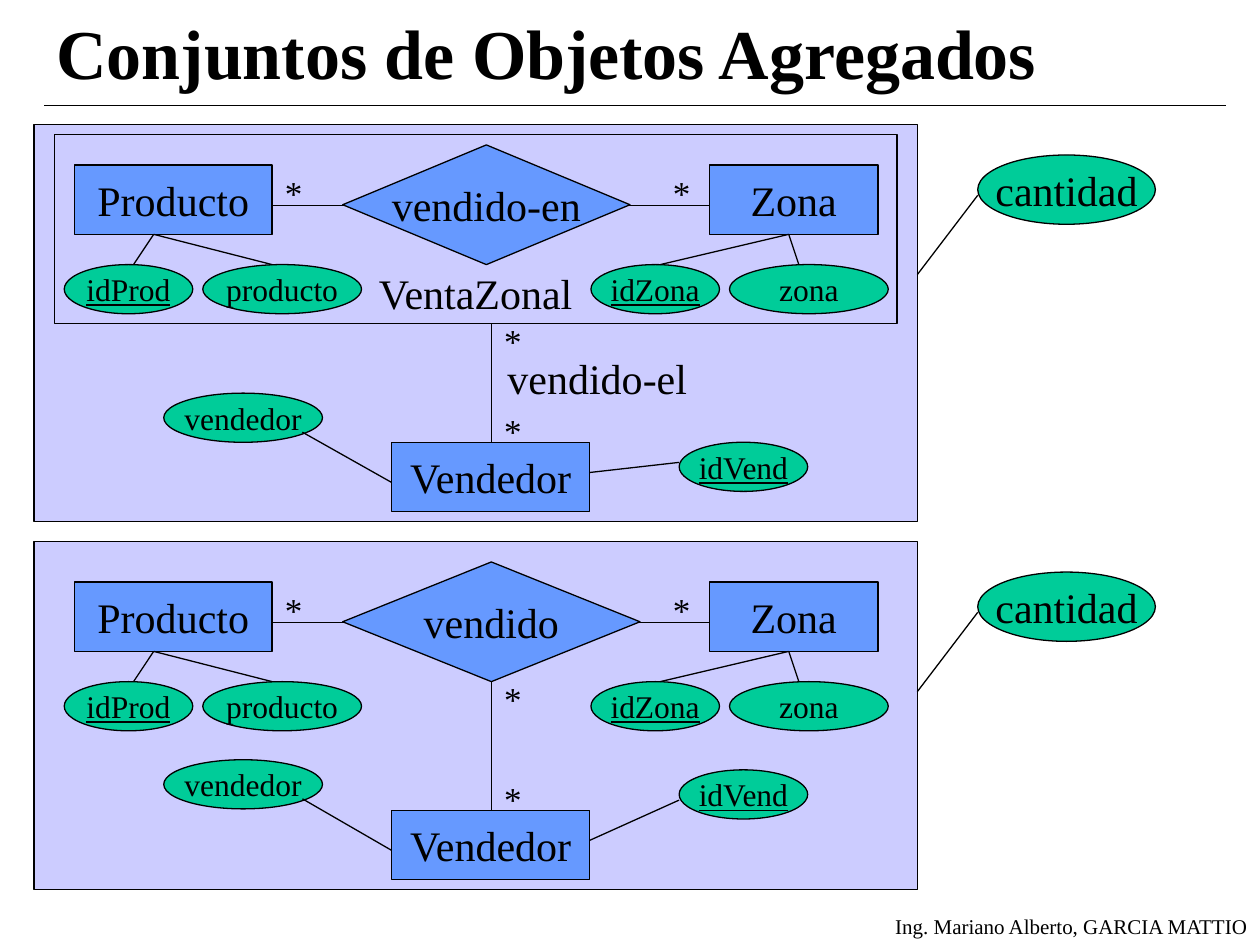
from dataclasses import dataclass

from lxml import etree
from pptx import Presentation
from pptx.dml.color import RGBColor
from pptx.enum.shapes import MSO_CONNECTOR, MSO_SHAPE
from pptx.enum.text import MSO_ANCHOR, PP_ALIGN
from pptx.oxml.ns import qn
from pptx.util import Inches, Pt

RECT, OVAL, DIAMOND = MSO_SHAPE.RECTANGLE, MSO_SHAPE.OVAL, MSO_SHAPE.FLOWCHART_DECISION
LEFT, CENTER, RIGHT = PP_ALIGN.LEFT, PP_ALIGN.CENTER, PP_ALIGN.RIGHT
TOP, MIDDLE, BOTTOM = MSO_ANCHOR.TOP, MSO_ANCHOR.MIDDLE, MSO_ANCHOR.BOTTOM
STRAIGHT = MSO_CONNECTOR.STRAIGHT


@dataclass(frozen=True)
class Theme:
    font: str = "Times New Roman"
    ink: RGBColor = RGBColor(0, 0, 0)
    panel: RGBColor = RGBColor.from_string("CCCCFF")
    entity: RGBColor = RGBColor.from_string("6699FF")
    attribute: RGBColor = RGBColor.from_string("00CC99")
    title_size: int = 40
    name_size: int = 24
    star_size: int = 20
    attribute_size: int = 18
    footer_size: int = 12
    line_width: float = 0.75


THEME = Theme()

TITLE = "Conjuntos de Objetos Agregados"
AUTHOR = "Ing. Mariano Alberto, GARCIA MATTIO"

PANEL_LEFT, PANEL_WIDTH = 0.27, 7.01
ENTITY_HEIGHT, ATTRIBUTE_HEIGHT = 0.55, 0.39
KEY_WIDTH, PLAIN_WIDTH = 1.02, 1.26
ENTITY_DY, ATTRIBUTE_DY, AXIS_DY = 0.32, 1.11, 0.64
SELLER_LEFT, SELLER_WIDTH, SELLER_AXIS = 3.11, 1.57, 3.9

ENTITIES = [
    {"name": "Producto", "left": 0.59, "width": 1.57, "fork": 1.22, "star": 2.16,
     "key": ("idProd", 0.51), "plain": ("producto", 1.61)},
    {"name": "Zona", "left": 5.63, "width": 1.34, "fork": 6.26, "star": 5.24,
     "key": ("idZona", 4.69), "plain": ("zona", 5.79)},
]
DIAGRAMS = [
    {"top": 0.99, "height": 3.15, "relation": "vendido-en", "relation_width": 2.28,
     "aggregate": "VentaZonal", "link": "vendido-el", "link_dy": 1.58,
     "seller_dy": 2.52, "name_dy": 2.13, "id_dy": 2.52, "id_end_dy": 2.68},
    {"top": 4.3, "height": 2.76, "relation": "vendido", "relation_width": 2.36,
     "aggregate": None, "link": None, "link_dy": 1.11,
     "seller_dy": 2.13, "name_dy": 1.73, "id_dy": 1.81, "id_end_dy": 2.05},
]


def write(shape, text, size, align=CENTER, anchor=MIDDLE, bold=False, underline=False):
    frame = shape.text_frame
    frame.word_wrap = False
    frame.vertical_anchor = anchor
    paragraph = frame.paragraphs[0]
    paragraph.text = text
    paragraph.alignment = align
    font = paragraph.font
    font.name, font.size, font.color.rgb = THEME.font, Pt(size), THEME.ink
    font.bold, font.underline = bold, underline


def add_label(slide, text, box, size, **style):
    write(slide.shapes.add_textbox(*map(Inches, box)), text, size, **style)


def add_node(slide, kind, box, fill, text=None, size=THEME.name_size, **style):
    node = slide.shapes.add_shape(kind, *map(Inches, box))
    node.shadow.inherit = False
    node.fill.solid()
    node.fill.fore_color.rgb = fill
    node.line.color.rgb = THEME.ink
    node.line.width = Pt(THEME.line_width)
    if text:
        write(node, text, size, **style)


def add_line(slide, start, end):
    line = slide.shapes.add_connector(STRAIGHT, *map(Inches, (*start, *end)))
    line.line.color.rgb = THEME.ink
    line.line.width = Pt(THEME.line_width)
    etree.SubElement(line._element.spPr, qn("a:effectLst"))


def add_entity(slide, name, left, top, width):
    add_node(slide, RECT, (left, top, width, ENTITY_HEIGHT), THEME.entity, name)


def add_attribute(slide, name, left, top, key=False):
    width = KEY_WIDTH if key else PLAIN_WIDTH
    add_node(slide, OVAL, (left, top, width, ATTRIBUTE_HEIGHT), THEME.attribute,
             name, THEME.attribute_size, underline=key)


def add_star(slide, left, top):
    add_label(slide, "*", (left, top, 0.34, 0.44), THEME.star_size, anchor=TOP)


def add_entity_group(slide, entity, top):
    entity_top, attribute_top = top + ENTITY_DY, top + ATTRIBUTE_DY
    add_entity(slide, entity["name"], entity["left"], entity_top, entity["width"])
    add_star(slide, entity["star"], entity_top)
    for role in ("key", "plain"):
        name, left = entity[role]
        add_attribute(slide, name, left, attribute_top, role == "key")
        add_line(slide, (left + 0.55, attribute_top),
                 (entity["fork"], entity_top + ENTITY_HEIGHT))


def add_seller(slide, diagram):
    top = diagram["top"]
    seller, link = top + diagram["seller_dy"], top + diagram["link_dy"]
    name_top = top + diagram["name_dy"]
    add_attribute(slide, "idVend", 5.39, top + diagram["id_dy"], key=True)
    add_attribute(slide, "vendedor", 1.3, name_top)
    add_line(slide, (SELLER_LEFT + SELLER_WIDTH, seller + 0.24),
             (5.39, top + diagram["id_end_dy"]))
    add_line(slide, (SELLER_LEFT, seller + 0.32), (2.4, name_top + 0.31))
    add_entity(slide, "Vendedor", SELLER_LEFT, seller, SELLER_WIDTH)
    add_line(slide, (SELLER_AXIS, link), (SELLER_AXIS, seller))
    add_star(slide, SELLER_AXIS, link - 0.08)
    add_star(slide, SELLER_AXIS, seller - 0.31)
    if diagram["link"]:
        add_label(slide, diagram["link"], (3.89, link + 0.18, 1.7, 0.5),
                  THEME.name_size, anchor=TOP)


def add_diagram(slide, diagram):
    top = diagram["top"]
    add_node(slide, RECT, (PANEL_LEFT, top, PANEL_WIDTH, diagram["height"]), THEME.panel)
    add_node(slide, OVAL, (7.76, top + 0.24, 1.41, ENTITY_HEIGHT), THEME.attribute, "cantidad")
    add_line(slide, (PANEL_LEFT + PANEL_WIDTH, top + 1.19), (7.76, top + 0.56))
    if diagram["aggregate"]:
        add_node(slide, RECT, (0.43, top + 0.08, 6.69, 1.5), THEME.panel,
                 diagram["aggregate"], anchor=BOTTOM)
    add_line(slide, (6.02, top + AXIS_DY), (1.53, top + AXIS_DY))
    add_node(slide, DIAMOND, (2.72, top + 0.16, diagram["relation_width"], 0.95),
             THEME.entity, diagram["relation"])
    for entity in ENTITIES:
        add_entity_group(slide, entity, top)
    add_seller(slide, diagram)


def main():
    deck = Presentation()
    deck.slide_width, deck.slide_height = Inches(10), Inches(7.5)
    slide = deck.slides.add_slide(deck.slide_layouts[6])
    add_label(slide, AUTHOR, (6.97, 7.2, 3.03, 0.3), THEME.footer_size, align=RIGHT, anchor=TOP)
    add_label(slide, TITLE, (0.35, 0.13, 9.37, 0.55), THEME.title_size, align=LEFT, bold=True)
    add_line(slide, (0.35, 0.84), (9.73, 0.84))
    for diagram in DIAGRAMS:
        add_diagram(slide, diagram)
    deck.save("out.pptx")


if __name__ == "__main__":
    main()
